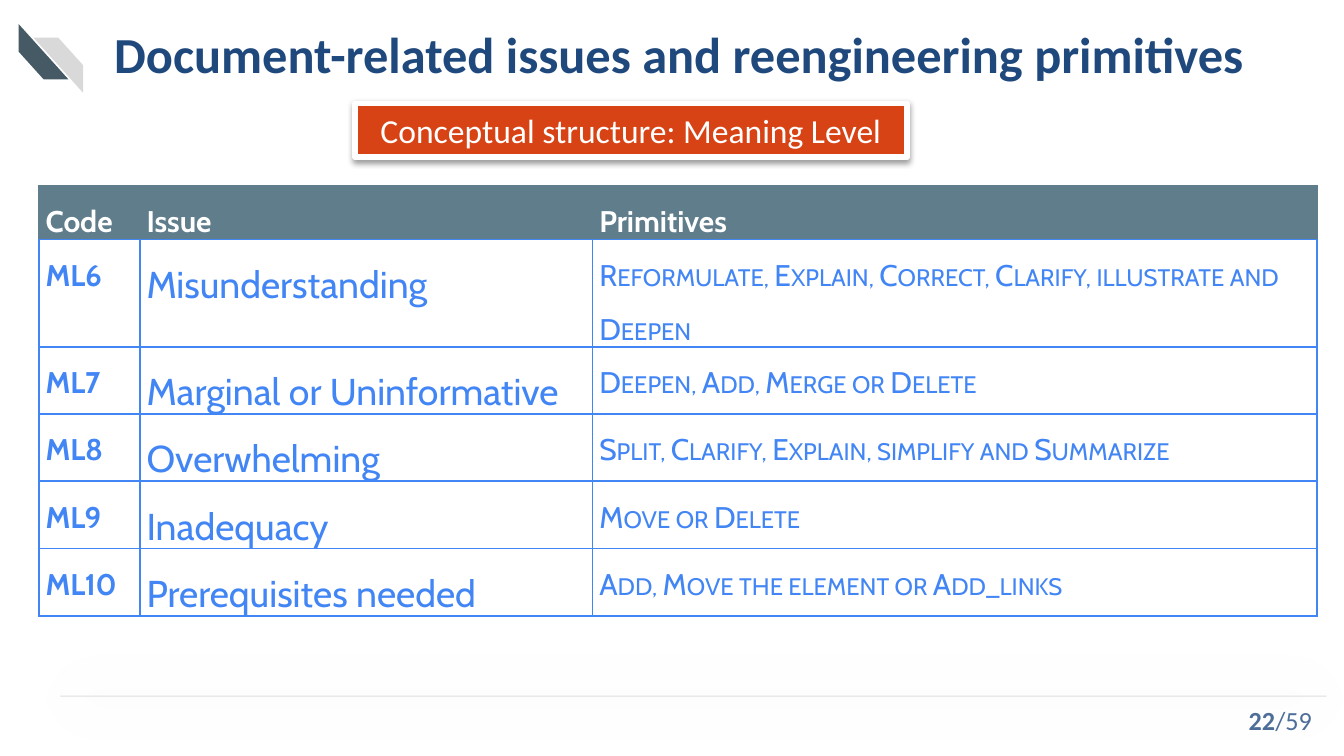
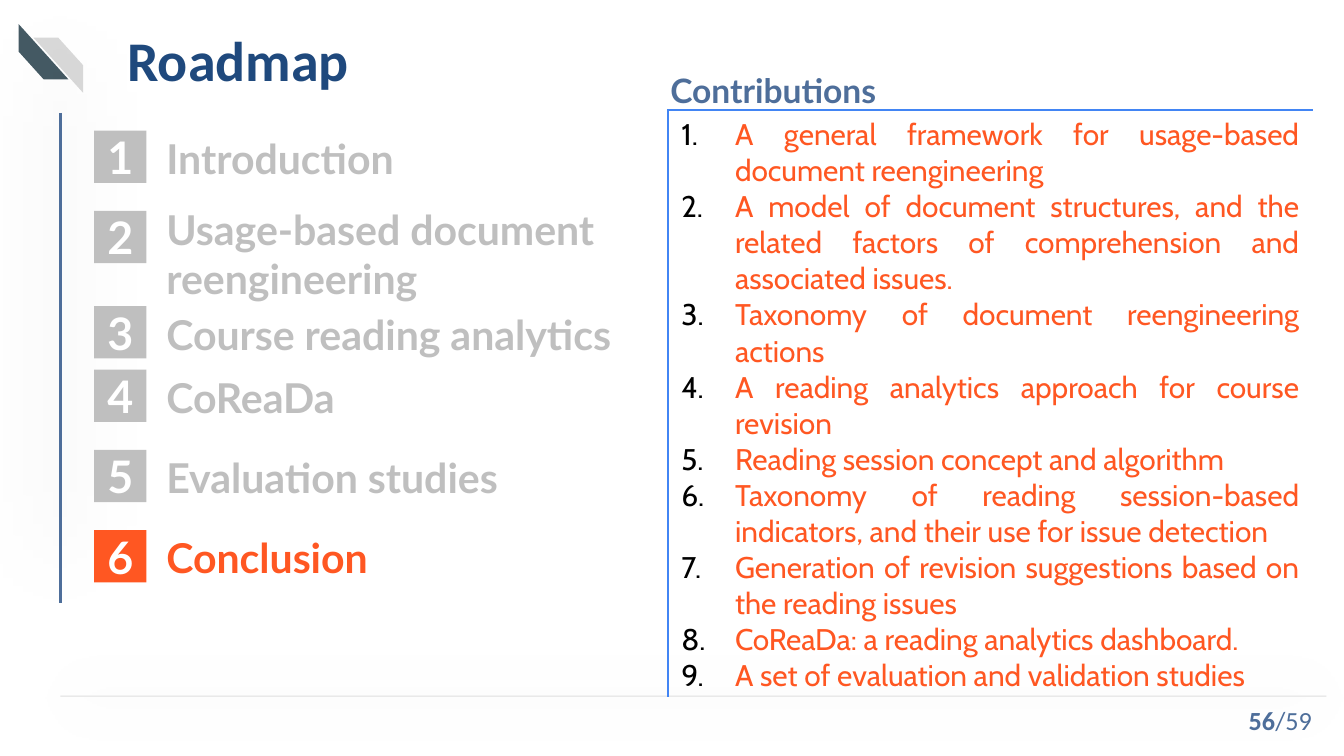
from lxml.etree import SubElement
from pptx import Presentation
from pptx.dml.color import RGBColor
from pptx.enum.shapes import MSO_CONNECTOR, MSO_SHAPE
from pptx.enum.text import MSO_ANCHOR, MSO_AUTO_SIZE, PP_ALIGN
from pptx.oxml.ns import qn
from pptx.util import Pt

HUES = {
    "white": "FFFFFF", "black": "000000", "navy": "1F497D", "steel": "4E6E9A",
    "slate": "455A64", "head": "607D8B", "blue": "4285F4", "pale": "D9D9D9",
    "mute": "BFBFBF", "brick": "D84315", "live": "FF5722",
}
TITLE = {"name": "Calibri", "size": Pt(30), "bold": True, "hue": "navy"}
PAGE = {"name": "Calibri", "size": Pt(14), "bold": True, "hue": "steel"}
CELL = {"name": "Cabin", "size": Pt(16), "bold": True, "hue": "blue"}
STEP = {"name": "Lato", "size": Pt(22), "bold": True, "hue": "mute"}
SIDES = ("L", "R", "T", "B")
MID = {"vertical_anchor": MSO_ANCHOR.MIDDLE}
CENTER = {"alignment": PP_ALIGN.CENTER}
LAST = 59

ISSUES = [
    ("Code", "Issue", "Primitives"),
    ("ML6", "Misunderstanding",
     "Reformulate, Explain, Correct, Clarify, illustrate and Deepen"),
    ("ML7", "Marginal or Uninformative", "Deepen, Add, Merge or Delete"),
    ("ML8", "Overwhelming", "Split, Clarify, Explain, simplify and Summarize"),
    ("ML9", "Inadequacy", "Move or Delete"),
    ("ML10", "Prerequisites needed", "Add, Move the element or Add_links"),
]
# Top of each step within the roadmap, with its lines of text
STEPS = [
    (0, ["Introduction"]),
    (43, ["Usage-based document", "reengineering"]),
    (94, ["Course reading analytics"]),
    (128, ["CoReaDa"]),
    (171, ["Evaluation studies"]),
    (214, ["Conclusion"]),
]
GAINS = [
    "A general framework for usage-based document reengineering",
    "A model of document structures, and the related factors of "
    "comprehension and associated issues.",
    "Taxonomy of document reengineering actions",
    "A reading analytics approach for course revision",
    "Reading session concept and algorithm",
    "Taxonomy of reading session-based indicators, and their use for "
    "issue detection",
    "Generation of revision suggestions based on the reading issues",
    "CoReaDa: a reading analytics dashboard.",
    "A set of evaluation and validation studies",
]


def rgb(hue):
    return RGBColor.from_string(HUES[hue])


def pts(box):
    return [Pt(n) for n in box]


def put(item, form):
    for key, value in form.items():
        setattr(item, key, value)


def inset(size):
    return {f"margin_{side}": Pt(size)
            for side in ("left", "right", "top", "bottom")}


def style(run, look):
    for key, value in look.items():
        if key == "hue":
            run.font.color.rgb = rgb(value)
        elif key == "cap":
            run._r.get_or_add_rPr().set("cap", value)
        else:
            setattr(run.font, key, value)


def write(frame, lines, look, para=None):
    """Each line is a string or a list of (text, changes) runs."""
    for i, line in enumerate(lines):
        p = frame.add_paragraph() if i else frame.paragraphs[0]
        put(p, para or {})
        for text, diff in [(line, {})] if isinstance(line, str) else line:
            run = p.add_run()
            run.text = text
            style(run, {**look, **diff})


def label(slide, box, lines, look, form=None, para=None):
    frame = slide.shapes.add_textbox(*pts(box)).text_frame
    put(frame, {"word_wrap": True, **(form or {})})
    write(frame, lines, look, para)


def shade(shape, alpha=0, blur=0, dist=0, angle=0):
    """Set the shadow; with no alpha there is none."""
    props = shape._element.spPr
    for old in props.findall(qn("a:effectLst")):
        props.remove(old)
    effects = SubElement(props, qn("a:effectLst"))
    if alpha:
        cast = SubElement(effects, qn("a:outerShdw"), blurRad=str(Pt(blur)),
                          dist=str(Pt(dist)), dir=str(angle * 60000))
        color = SubElement(cast, qn("a:srgbClr"), val=HUES["black"])
        SubElement(color, qn("a:alpha"), val=str(alpha * 1000))


def block(slide, box, hue, kind=MSO_SHAPE.RECTANGLE):
    shape = slide.shapes.add_shape(kind, *pts(box))
    shape.fill.solid()
    shape.fill.fore_color.rgb = rgb(hue)
    shape.line.fill.background()
    shade(shape)
    return shape


def rule(slide, ends, hue, width):
    line = slide.shapes.add_connector(MSO_CONNECTOR.STRAIGHT, *pts(ends))
    line.line.color.rgb = rgb(hue)
    line.line.width = Pt(width)
    return line


def edge(cell, hues):
    """Draw the cell's borders; a side without a hue has no line."""
    props = cell._tc.get_or_add_tcPr()
    for side in SIDES:
        line = SubElement(props, qn(f"a:ln{side}"), w=str(Pt(1)))
        if side in hues:
            fill = SubElement(line, qn("a:solidFill"))
            SubElement(fill, qn("a:srgbClr"), val=HUES[hues[side]])
        else:
            SubElement(line, qn("a:noFill"))


def grid(slide, box, cols, rows):
    size = len(rows), len(cols)
    table = slide.shapes.add_table(*size, *pts(box)).table
    put(table, {"first_row": False, "horz_banding": False})
    for col, width in zip(table.columns, cols):
        col.width = Pt(width)
    for row, height in zip(table.rows, rows):
        row.height = Pt(height)
    return table


# Shared frame: corner mark, bottom line and page number
def base(deck, page):
    slide = deck.slides.add_slide(deck.slide_layouts[6])
    dark = block(slide, (8.6, 14.4, 29.5, 26.6), "slate",
                 MSO_SHAPE.DIAGONAL_STRIPE)
    dark.rotation = 270
    light = block(slide, (18, 20.2, 26.6, 29.5), "pale",
                  MSO_SHAPE.DIAGONAL_STRIPE)
    light._element.spPr.xfrm.set("flipH", "1")

    foot = rule(slide, (710.6, 373, 32.4, 373), "pale", 0.5)
    color = foot._element.spPr.find(".//" + qn("a:srgbClr"))
    SubElement(color, qn("a:alpha"), val="83000")
    shade(foot, 39, 31)

    label(slide, (508.3, 375.1, 201.6, 21.6),
          [[(str(page), {}), (f"/{LAST}", {"bold": False})]],
          PAGE, MID, {"alignment": PP_ALIGN.RIGHT})
    return slide


def banner(slide, box, text):
    shape = block(slide, box, "brick")
    shape.line.color.rgb = rgb("white")
    shape.line.width = Pt(3)
    shade(shape, 38, 3.1, 1.6, 90)
    put(shape.text_frame, {"word_wrap": True, "vertical_anchor": MSO_ANCHOR.TOP,
                           "auto_size": MSO_AUTO_SIZE.SHAPE_TO_FIT_TEXT})
    write(shape.text_frame, [text],
          {"name": "Calibri", "size": Pt(18), "hue": "white"}, CENTER)


def issues(slide, box):
    table = grid(slide, box, (54, 242.6, 388.1), (18, 29, 24.5, 21.6, 20, 20))
    looks = (CELL, {**CELL, "size": Pt(20), "bold": False},
             {**CELL, "bold": False, "cap": "small"})
    for r, row in enumerate(ISSUES):
        for c, text in enumerate(row):
            cell = table.cell(r, c)
            hues = dict.fromkeys(SIDES, "blue" if r else "head")
            edge(cell, {**hues, "B": "blue"})
            cell.fill.solid()
            cell.fill.fore_color.rgb = rgb("white" if r else "head")
            put(cell, {**inset(0), "margin_left": Pt(3.6),
                       "margin_right": Pt(3.6)})
            look = looks[c] if r else {**CELL, "hue": "white"}
            write(cell.text_frame, [text], look, {"line_spacing": 1.5})


def roadmap(slide, box, now):
    left, top, width, height = box
    bar = rule(slide, (left, top, left, top + height), "steel", 1.5)
    shade(bar, 50, 45, 27, 268)
    side = 28
    for n, (drop, lines) in enumerate(STEPS, 1):
        hue = "live" if n == now else "mute"
        x, y = left + 18, top + 9.5 + drop
        # Longer labels start higher, beside their tile
        rise = 2 if len(lines) == 1 else 7
        label(slide, (x + 31.7, y - rise, width, side), lines,
              {**STEP, "hue": hue})
        tile = block(slide, (x, y, side, side), hue)
        put(tile.text_frame, {**inset(7.2), **MID})
        write(tile.text_frame, [str(n)],
              {**STEP, "size": Pt(24), "hue": "white"}, CENTER)


def gains(slide, box):
    left, top, width, height = box
    cell = grid(slide, box, (width,), (height,)).cell(0, 0)
    edge(cell, {"L": "blue", "T": "blue"})
    cell.fill.background()
    write(cell.text_frame, GAINS, {**CELL, "bold": False, "hue": "live"},
          {"alignment": PP_ALIGN.JUSTIFY})
    for p in cell.text_frame.paragraphs:
        props = p._p.get_or_add_pPr()
        props.set("marL", str(Pt(28.8)))
        props.set("indent", str(-Pt(28.8)))
        color = SubElement(props, qn("a:buClr"))
        SubElement(color, qn("a:srgbClr"), val=HUES["black"])
        SubElement(props, qn("a:buAutoNum"), type="arabicPeriod")
    label(slide, (left - 5.8, top - 25.2, 132.5, 28.8), ["Contributions"],
          {**STEP, "size": Pt(18), "hue": "steel"},
          {"word_wrap": False, "auto_size": MSO_AUTO_SIZE.SHAPE_TO_FIT_TEXT})


def main():
    deck = Presentation()
    put(deck, {"slide_width": Pt(720), "slide_height": Pt(405)})

    # Issues and primitives
    slide = base(deck, 22)
    label(slide, (61.2, 5.8, 640.8, 45.4),
          ["Document-related issues and reengineering primitives"],
          {**TITLE, "size": Pt(27)}, {**inset(0), **MID})
    banner(slide, (190.1, 55.4, 295.9, 28.8),
           "Conceptual structure: Meaning Level")
    issues(slide, (20.9, 99.4, 684.7, 133))

    # Roadmap and contributions
    slide = base(deck, 56)
    label(slide, (61.2, 6.5, 642.2, 45.4), ["Roadmap"], TITLE, inset(7.2))
    roadmap(slide, (32.4, 60.5, 453.6, 262.8), now=6)
    gains(slide, (357.8, 59, 345.6, 87.8))

    deck.save("out.pptx")


if __name__ == "__main__":
    main()
